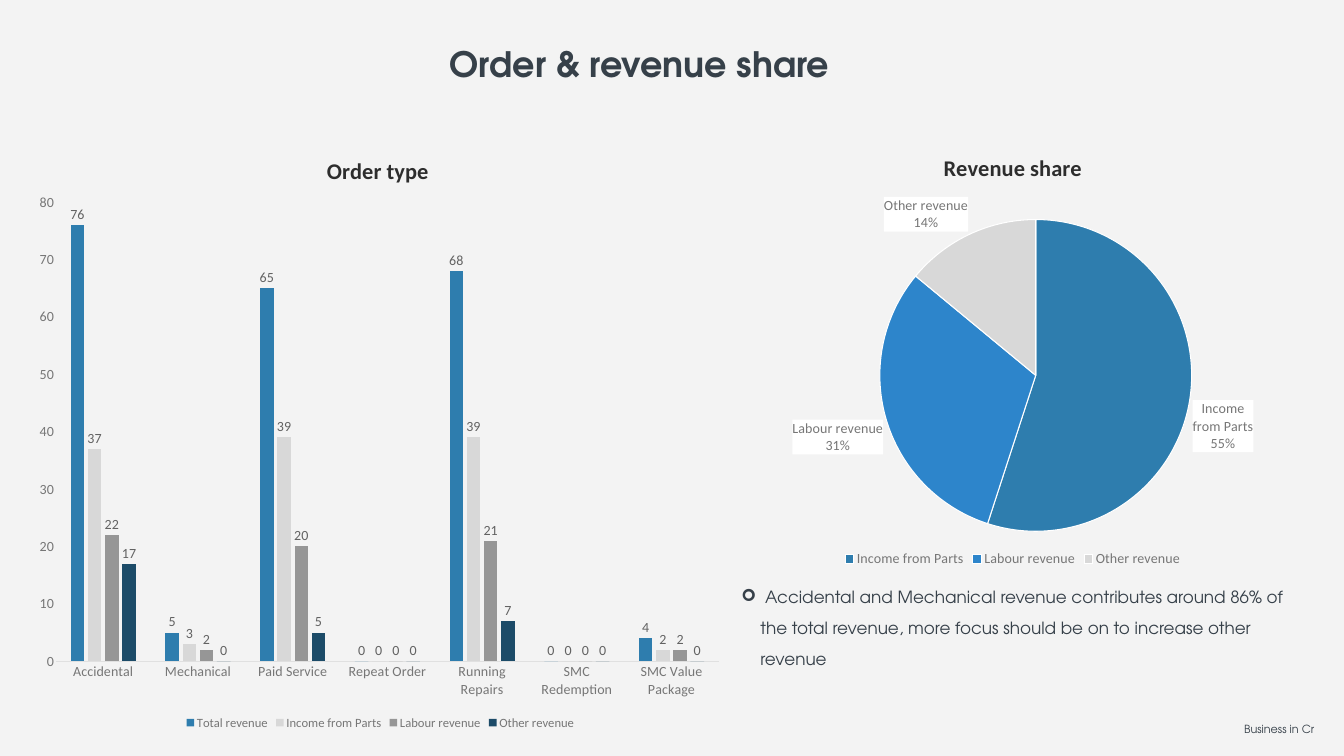
from lxml.etree import SubElement
from pptx import Presentation
from pptx.chart.data import CategoryChartData
from pptx.dml.color import RGBColor
from pptx.enum.chart import XL_CHART_TYPE, XL_LABEL_POSITION, XL_LEGEND_POSITION, XL_TICK_MARK
from pptx.enum.text import MSO_ANCHOR, MSO_AUTO_SIZE, PP_ALIGN
from pptx.oxml import parse_xml
from pptx.oxml.ns import nsdecls, qn
from pptx.util import Pt

BACK = RGBColor(0xF3, 0xF3, 0xF3)
WHITE = RGBColor(0xFF, 0xFF, 0xFF)
SLATE = RGBColor(0x36, 0x40, 0x49)
DARK = RGBColor(0x2D, 0x2D, 0x2D)
GREY = RGBColor(0x76, 0x76, 0x76)
LABEL = RGBColor(0x62, 0x62, 0x62)
RULE = RGBColor(0xE0, 0xE0, 0xE0)
BLUE = RGBColor(0x2E, 0x7D, 0xAE)
BRIGHT = RGBColor(0x2D, 0x85, 0xCB)
PALE = RGBColor(0xD8, 0xD8, 0xD8)
MID = RGBColor(0x96, 0x96, 0x96)
NAVY = RGBColor(0x1C, 0x4B, 0x68)
HEAD, BODY = "TeX Gyre Adventor", "Calibri"

TITLE = "Order & revenue share"
POINT = (" Accidental and Mechanical revenue contributes around 86% of the total revenue, "
         "more focus should be on to increase other revenue ")
UNIT = "Business in Cr"
ORDERS = {
    "title": "Order type ", "kind": XL_CHART_TYPE.COLUMN_CLUSTERED,
    "box": (39.6, 195.1, 1007.3, 851.8), "plot": (0.04, 0.11, 0.94, 0.77),
    "cats": ["Accidental", "Mechanical", "Paid Service", "Repeat Order",
             "Running Repairs", "SMC Redemption", "SMC Value Package"],
    "rows": [("Total revenue", (76, 5, 65, 0, 68, 0, 4)),
             ("Income from Parts", (37, 3, 39, 0, 39, 0, 2)),
             ("Labour revenue", (22, 2, 20, 0, 21, 0, 2)),
             ("Other revenue", (17, 0, 5, 0, 7, 0, 0))],
    "tints": [BLUE, PALE, MID, NAVY], "legend": 18,
}
SHARE = {
    "title": "Revenue share", "kind": XL_CHART_TYPE.PIE,
    "box": (1081.4, 195.8, 730.1, 619.2), "plot": (0.24, 0.19, 0.61, 0.72),
    "cats": ["Income from Parts", "Labour revenue", "Other revenue"],
    "rows": [("Series 1", (55, 31, 14))],
    "tints": [BLUE, BRIGHT, PALE], "legend": 20,
}


def style(font, size, tint, face=BODY, bold=False):
    """Set the look of a font."""
    font.size, font.name, font.bold = Pt(size), face, bold
    font.color.rgb = tint


def place(shape, box):
    """Move and size a shape, in points."""
    shape.left, shape.top, shape.width, shape.height = map(Pt, box)


def write(shape, text, size, box, lead, bold=False, align=PP_ALIGN.LEFT, bullet=None):
    """Put one formatted paragraph in a shape."""
    place(shape, box)
    frame = shape.text_frame
    frame.word_wrap, frame.auto_size = True, MSO_AUTO_SIZE.NONE
    frame.vertical_anchor = MSO_ANCHOR.TOP
    frame.margin_left = frame.margin_right = Pt(7.2)
    frame.margin_top = frame.margin_bottom = Pt(3.6)
    para = frame.paragraphs[0]
    para.alignment, para.line_spacing = align, Pt(lead)
    run = para.add_run()
    run.text = text
    style(run.font, size, SLATE, HEAD, bold)
    if bullet:
        props = para._p.get_or_add_pPr()
        props.set("marL", str(Pt(27)))
        props.set("indent", str(Pt(-27)))
        SubElement(props, qn("a:buFont"), typeface="Wingdings")
        SubElement(props, qn("a:buChar"), char=bullet)


def fix_plot(chart, plot):
    """Fix the inner plot area as fractions of the chart."""
    area = chart._chartSpace.chart.plotArea
    for old in area.findall(qn("c:layout")):
        area.remove(old)
    modes = '<c:layoutTarget val="inner"/><c:xMode val="edge"/><c:yMode val="edge"/>'
    sizes = "".join(f'<c:{key} val="{val}"/>' for key, val in zip("xywh", plot))
    area.insert(0, parse_xml(f'<c:layout {nsdecls("c")}><c:manualLayout>{modes}{sizes}'
                             '</c:manualLayout></c:layout>'))


def add_chart(slide, spec):
    """Add a chart with its title and legend."""
    data = CategoryChartData(number_format="0")
    data.categories = spec["cats"]
    for name, vals in spec["rows"]:
        data.add_series(name, vals)
    chart = slide.shapes.add_chart(spec["kind"], *map(Pt, spec["box"]), data).chart
    style(chart.font, 10, DARK)
    chart.has_title = True
    run = chart.chart_title.text_frame.paragraphs[0].add_run()
    run.text = spec["title"]
    style(run.font, 32, DARK, bold=True)
    chart.chart_title.include_in_layout = False
    chart.has_legend = True
    chart.legend.position = XL_LEGEND_POSITION.BOTTOM
    chart.legend.include_in_layout = False
    style(chart.legend.font, spec["legend"], GREY)
    fix_plot(chart, spec["plot"])
    return chart


def set_tags(tags, tint, form):
    """Format data labels outside the marks."""
    style(tags.font, 20, tint)
    tags.number_format, tags.number_format_is_linked = form, False
    tags.position = XL_LABEL_POSITION.OUTSIDE_END


def add_bars(slide, spec):
    """Add the clustered column chart."""
    chart = add_chart(slide, spec)
    plot = chart.plots[0]
    plot.gap_width, plot.overlap, plot.vary_by_categories = 219, -27, False
    for row, tint in zip(plot.series, spec["tints"]):
        row.format.fill.solid()
        row.format.fill.fore_color.rgb = tint
        row.data_labels.show_value = True
        set_tags(row.data_labels, LABEL, "0")
    for axis in (chart.category_axis, chart.value_axis):
        axis.major_tick_mark = axis.minor_tick_mark = XL_TICK_MARK.NONE
        axis.has_major_gridlines = False
        style(axis.tick_labels.font, 20, GREY)
    line = chart.category_axis.format.line
    line.color.rgb, line.width = RULE, Pt(0.75)
    axis = chart.value_axis
    axis.format.line.fill.background()
    axis.minimum_scale, axis.maximum_scale, axis.major_unit = 0, 80, 10
    axis.tick_labels.number_format = "0"
    axis.tick_labels.number_format_is_linked = False


def add_pie(slide, spec):
    """Add the pie chart with white label boxes."""
    plot = add_chart(slide, spec).plots[0]
    plot.vary_by_categories = True
    row = plot.series[0]
    for spot, tint in enumerate(spec["tints"]):
        look = row.points[spot].format
        look.fill.solid()
        look.fill.fore_color.rgb = tint
        look.line.color.rgb, look.line.width = WHITE, Pt(1.5)
    tags = row.data_labels
    tags.show_value = False
    tags.show_percentage = tags.show_category_name = True
    set_tags(tags, GREY, "0%")
    tags._element.find(qn("c:txPr")).addprevious(parse_xml(
        f'<c:spPr {nsdecls("c", "a")}><a:solidFill><a:srgbClr val="{WHITE}"/>'
        '</a:solidFill></c:spPr>'))


deck = Presentation()
deck.slide_width, deck.slide_height = Pt(1919.52), Pt(1080)
slide = deck.slides.add_slide(deck.slide_layouts[5])
slide.background.fill.solid()
slide.background.fill.fore_color.rgb = BACK
add_bars(slide, ORDERS)
add_pie(slide, SHARE)
write(slide.shapes.title, TITLE, 50, (164.9, 32.4, 1496.9, 82.8), 85,
      bold=True, align=PP_ALIGN.CENTER)
for text, size, box, mark in [
        (POINT, 24, (1051.9, 820.1, 828.7, 223.9), "\u27a2"),
        (UNIT, 16, (1769.8, 1003.7, 149, 72), None)]:
    write(slide.shapes.add_textbox(0, 0, 0, 0), text, size, box, 44, bullet=mark)
deck.save("out.pptx")
